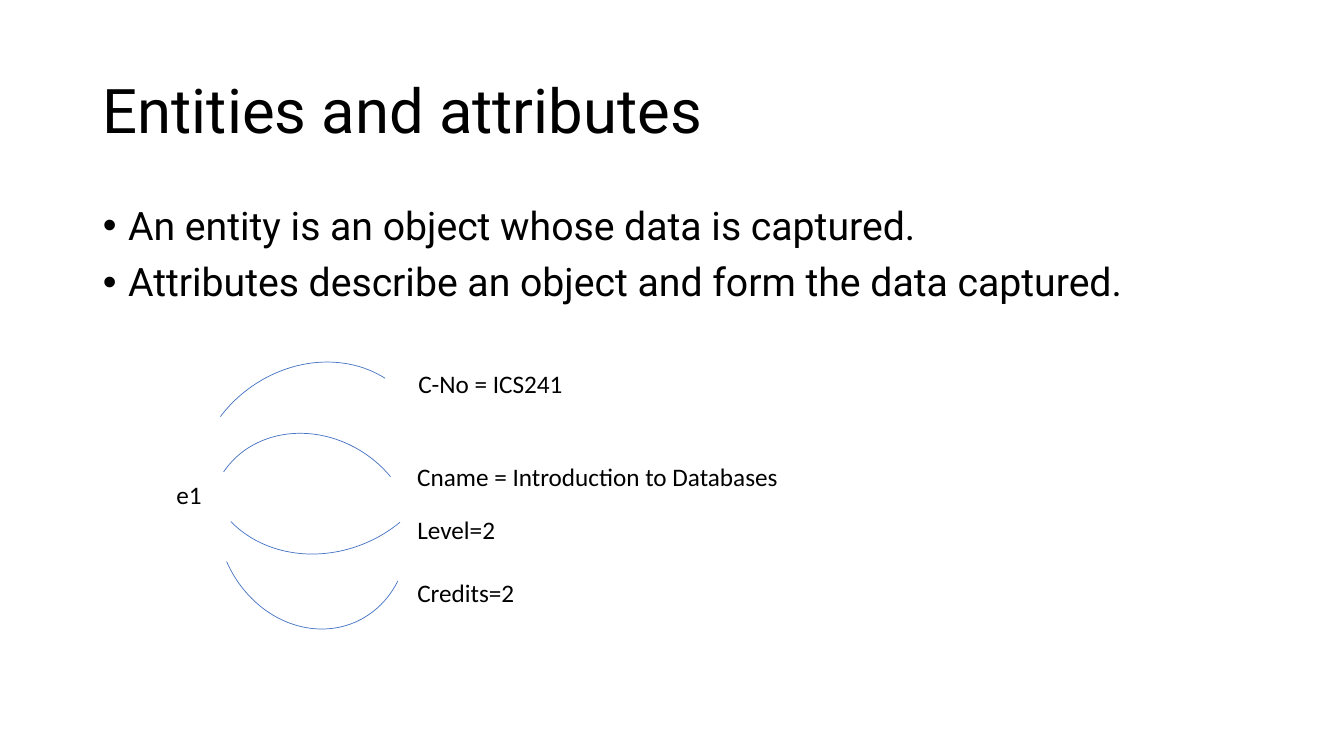
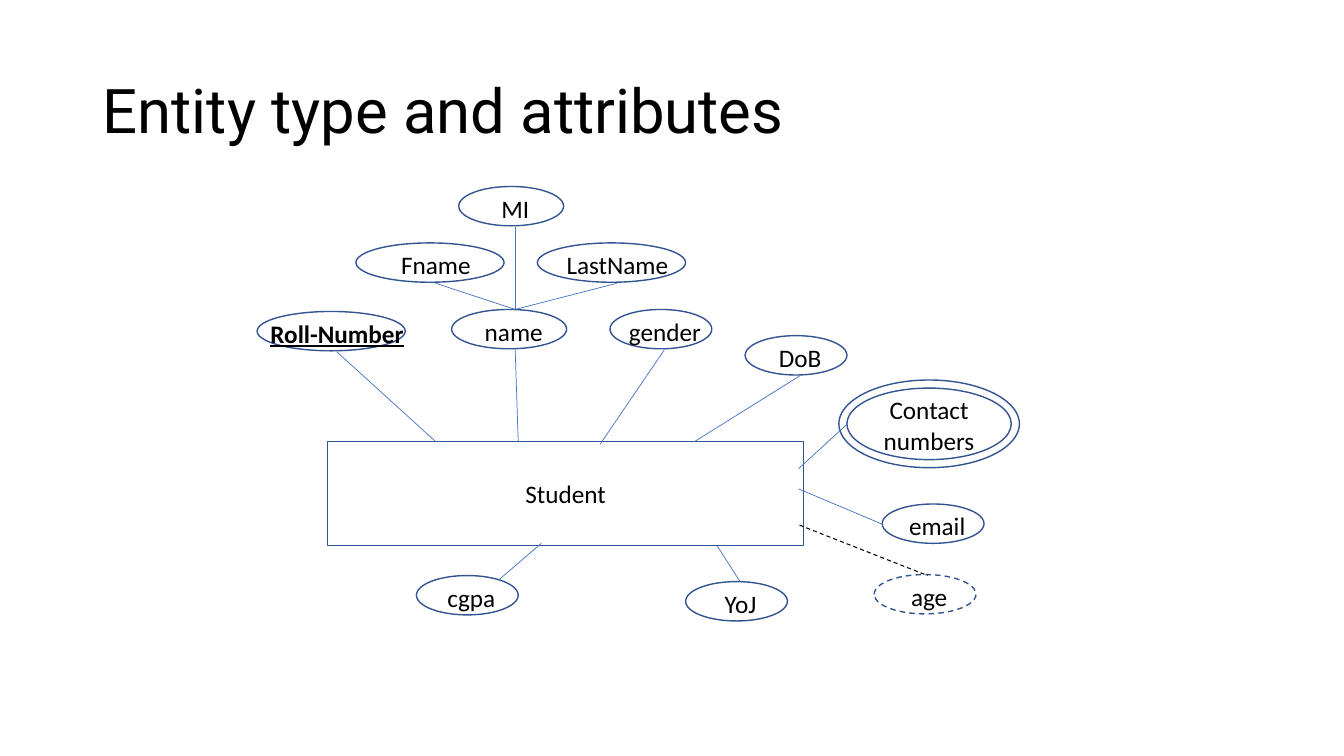
from pptx import Presentation
from pptx.dml.color import RGBColor
from pptx.enum.dml import MSO_LINE
from pptx.enum.shapes import MSO_CONNECTOR, MSO_SHAPE
from pptx.enum.text import MSO_ANCHOR, MSO_AUTO_SIZE, PP_ALIGN
from pptx.oxml.ns import qn
from pptx.util import Inches, Pt
from lxml.etree import SubElement

BLACK, BLUE, NAVY = "000000", "4472C4", "325491"
HEAD_FONT, LABEL_FONT = "Roboto", "Calibri"
TITLE_BOX = (0.92, 0.4, 11.5, 1.45)
BODY_BOX = (0.92, 2, 11.5, 1.16)

BULLETS = [
    "An entity is an object whose data is captured.",
    "Attributes describe an object and form the data captured.",
]
ARCS = [
    ((2.17, 4.14, 1.86, 2.12), 156.5, (142.33, 0)),
    ((2, 3.35, 2.43, 2.12), 156.5, (149.52, 206.37)),
    ((2.17, 4.21, 1.86, 2.12), 303.7, (162, 12.79)),
    ((1.88, 3.65, 2.43, 2.12), 323.2, (149.52, 206.37)),
]
LABELS = [
    ("e1", 1.65, 4.71, 0.85),
    ("C-No = ICS241", 4.05, 3.6, 3.32),
    ("Cname = Introduction to Databases", 4.04, 4.53, 4.74),
    ("Level=2", 4.04, 5.05, 3.32),
    ("Credits=2", 4.04, 5.68, 3.32),
]

ENTITY = ("Student", (3.25, 4.38, 4.72, 1.03))
MULTIVALUED = ("Contact\nnumbers", (8.4, 3.85, 1.63, 0.71))
RING_GAP = 0.08
OVAL_H = 0.39
KEY, DERIVED = "Roll-Number", "age"
ATTRIBUTES = [
    (KEY, 2.55, 3.09, 1.47),
    ("name", 4.48, 3.07, 1.14),
    ("Fname", 3.53, 2.41, 1.47),
    ("MI", 4.55, 1.85, 1.04),
    ("LastName", 5.33, 2.41, 1.47),
    ("gender", 6.05, 3.07, 1.01),
    ("DoB", 7.39, 3.33, 1.01),
    ("email", 8.75, 5, 1.01),
    ("YoJ", 6.8, 5.77, 1.01),
    ("cgpa", 4.13, 5.71, 1.01),
    (DERIVED, 8.67, 5.7, 1.01),
]
NAME_TOP = (5.11, 3.07)
LINKS = [
    ((4.32, 4.38), (3.34, 3.49)),
    ((5.14, 4.38), (5.11, 3.47)),
    (NAME_TOP, (4.32, 2.81)),
    (NAME_TOP, (5.11, 2.25)),
    (NAME_TOP, (6.12, 2.81)),
    ((5.95, 4.41), (6.59, 3.47)),
    ((6.89, 4.38), (7.93, 3.73)),
    ((7.92, 4.65), (8.4, 4.21)),
    ((7.92, 4.85), (8.75, 5.2)),
    ((7.11, 5.41), (7.34, 5.77)),
    ((5.37, 5.39), (4.95, 5.75)),
]
DERIVED_LINK = ((7.93, 5.21), (9.2, 5.71))


def rgb(value):
    return RGBColor.from_string(value)


def style_text(p, size, font):
    p.font.size, p.font.name = Pt(size), font
    p.font.color.rgb = rgb(BLACK)


def style_line(sp, color, width, dashed=False):
    sp.line.color.rgb = rgb(color)
    sp.line.width = Pt(width)
    if dashed:
        sp.line.dash_style = MSO_LINE.DASH


def place(sp, box):
    sp.left, sp.top, sp.width, sp.height = map(Inches, box)


def add_slide(prs, layout, title):
    s = prs.slides.add_slide(prs.slide_layouts[layout])
    place(s.shapes.title, TITLE_BOX)
    tf = s.shapes.title.text_frame
    tf.text = title
    tf.auto_size = MSO_AUTO_SIZE.NONE
    tf.vertical_anchor = MSO_ANCHOR.MIDDLE
    p = tf.paragraphs[0]
    p.alignment, p.line_spacing = PP_ALIGN.LEFT, 0.9
    style_text(p, 44, HEAD_FONT)
    return s


def add_bullets(s, lines):
    sp = s.placeholders[1]
    place(sp, BODY_BOX)
    tf = sp.text_frame
    tf.text = "\n".join(lines)
    tf.auto_size = MSO_AUTO_SIZE.NONE
    for p in tf.paragraphs:
        p.line_spacing, p.space_before = 0.9, Pt(10)
        style_text(p, 28, HEAD_FONT)
        pPr = p._p.get_or_add_pPr()
        pPr.set("marL", str(Inches(0.25)))
        pPr.set("indent", str(Inches(-0.25)))


def add_label(s, text, x, y, w):
    tf = s.shapes.add_textbox(*map(Inches, (x, y, w, 0.4))).text_frame
    tf.word_wrap = True
    tf.text = text
    style_text(tf.paragraphs[0], 18, LABEL_FONT)


def add_outline(s, kind, box, color=NAVY, width=1, dashed=False):
    sp = s.shapes.add_shape(kind, *map(Inches, box))
    sp.shadow.inherit = False
    sp.fill.background()
    style_line(sp, color, width, dashed)
    return sp


def write_inside(sp, text, shift_x=0, shift_y=0):
    tf = sp.text_frame
    tf.text = text
    tf.word_wrap = False
    tf.vertical_anchor = MSO_ANCHOR.MIDDLE
    tf.margin_left, tf.margin_top = Inches(2 * shift_x), Inches(2 * shift_y)
    tf.margin_right = tf.margin_bottom = 0
    for p in tf.paragraphs:
        p.alignment = PP_ALIGN.CENTER
        style_text(p, 18, LABEL_FONT)
    return tf


def add_link(s, start, end, color=BLUE, width=0.5, dashed=False):
    c = s.shapes.add_connector(MSO_CONNECTOR.STRAIGHT, *map(Inches, start + end))
    style_line(c, color, width, dashed)
    SubElement(c._element.spPr, qn("a:effectLst"))


def build_entities(prs):
    s = add_slide(prs, 1, "Entities and attributes")
    add_bullets(s, BULLETS)
    for box, rotation, angles in ARCS:
        arc = add_outline(s, MSO_SHAPE.ARC, box, BLUE, 0.5)
        arc.rotation = rotation
        arc.adjustments[0], arc.adjustments[1] = angles
    for label in LABELS:
        add_label(s, *label)


def build_entity_type(prs):
    s = add_slide(prs, 5, "Entity type and attributes")
    name, box = ENTITY
    write_inside(add_outline(s, MSO_SHAPE.RECTANGLE, box), name)

    for name, x, y, w in ATTRIBUTES:
        oval = add_outline(s, MSO_SHAPE.OVAL, (x, y, w, OVAL_H), dashed=name == DERIVED)
        p = write_inside(oval, name, 0.04 * w, 0.02).paragraphs[0]
        if name == KEY:
            p.font.bold = p.font.underline = True

    name, (x, y, w, h) = MULTIVALUED
    ring = (x - RING_GAP, y - RING_GAP, w + 2 * RING_GAP, h + 2 * RING_GAP)
    add_outline(s, MSO_SHAPE.OVAL, ring)
    write_inside(add_outline(s, MSO_SHAPE.OVAL, (x, y, w, h)), name, 0, 0.01)

    for start, end in LINKS:
        add_link(s, start, end)
    add_link(s, *DERIVED_LINK, BLACK, 0.75, True)


def main():
    prs = Presentation()
    prs.slide_width, prs.slide_height = Inches(13.33), Inches(7.5)
    build_entities(prs)
    build_entity_type(prs)
    prs.save("out.pptx")


if __name__ == "__main__":
    main()
